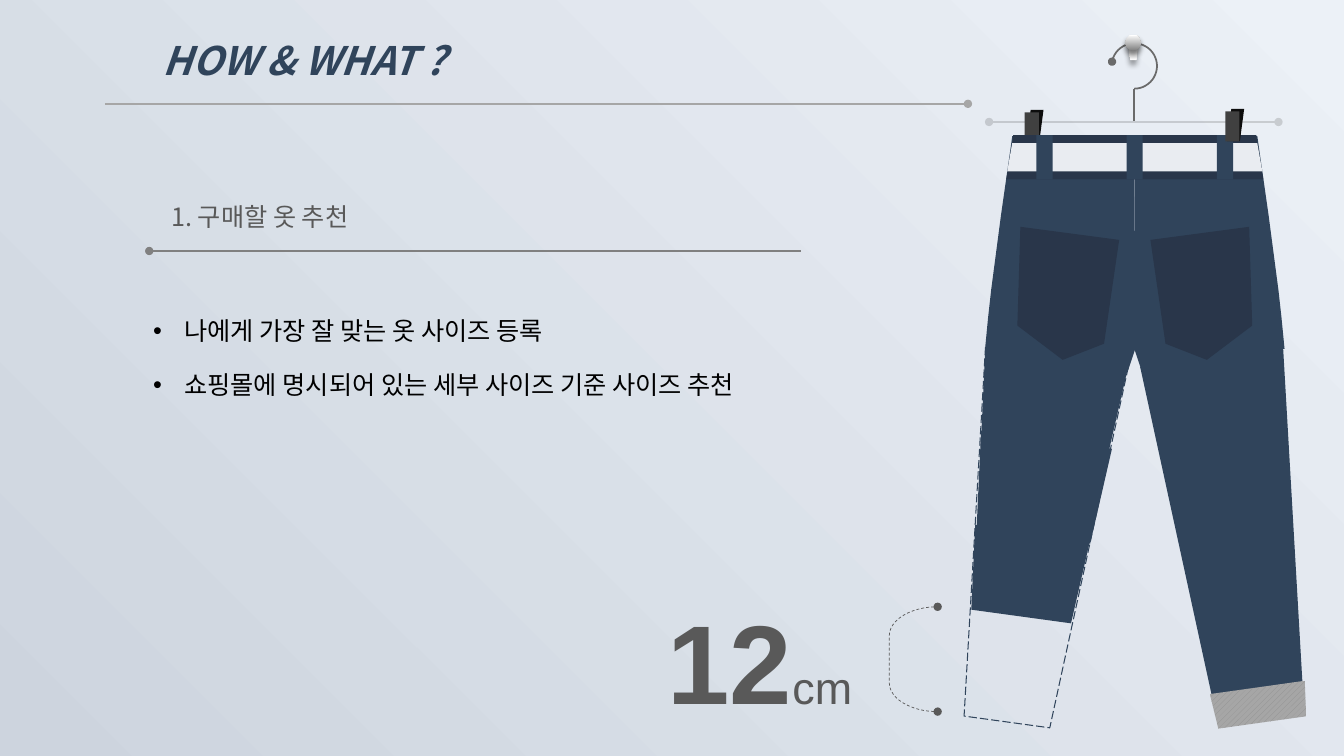
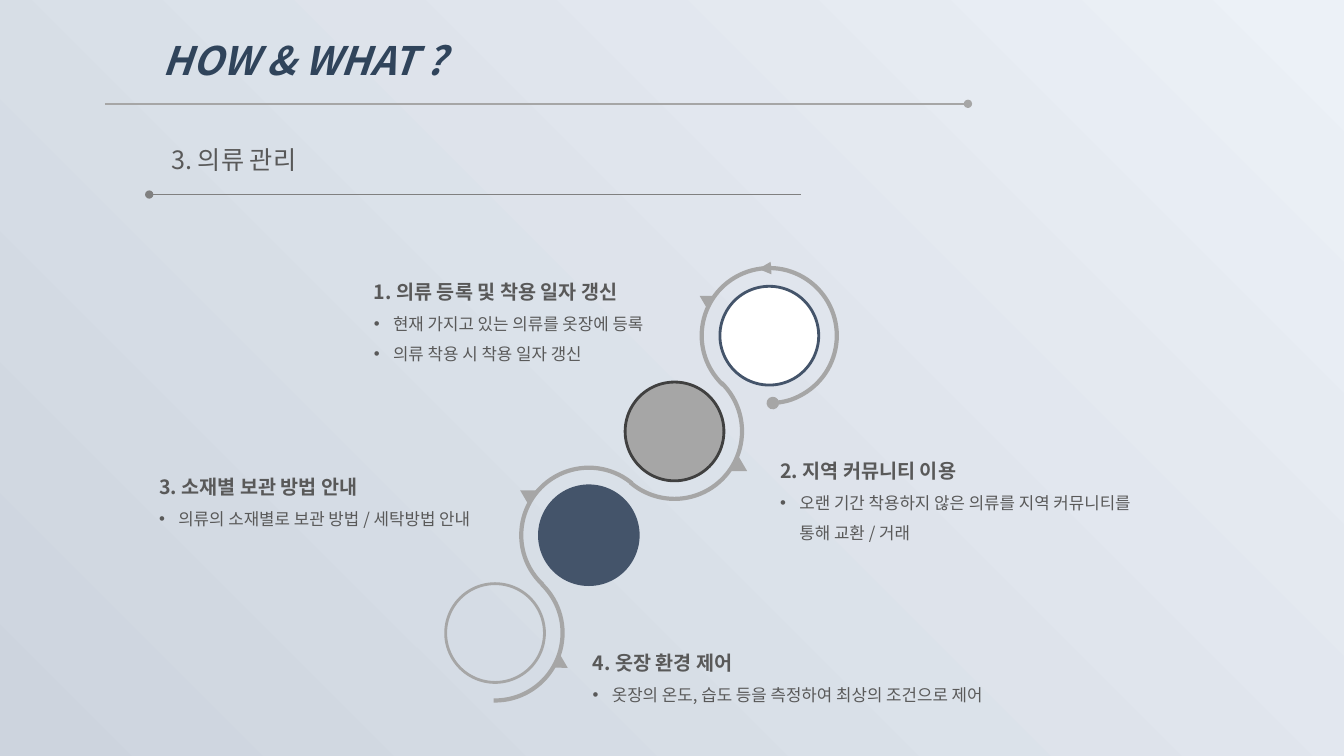
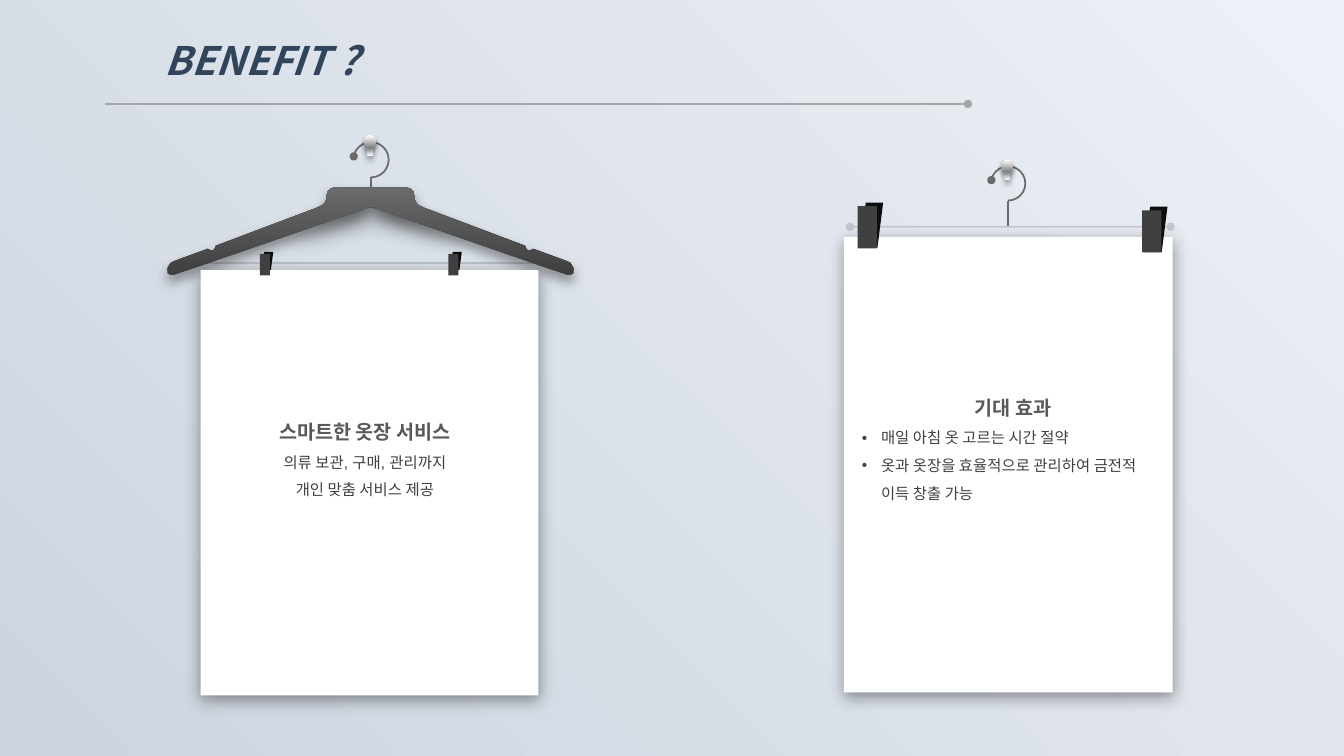
from dataclasses import dataclass

from lxml import etree
from pptx import Presentation
from pptx.dml.color import RGBColor
from pptx.enum.dml import MSO_LINE, MSO_PATTERN
from pptx.enum.shapes import MSO_CONNECTOR, MSO_SHAPE
from pptx.enum.text import MSO_ANCHOR, MSO_AUTO_SIZE, PP_ALIGN
from pptx.oxml.ns import qn
from pptx.util import Inches, Pt

RECT, OVAL, ARC = MSO_SHAPE.RECTANGLE, MSO_SHAPE.OVAL, MSO_SHAPE.ARC
TRAPEZOID, SLANTED = MSO_SHAPE.TRAPEZOID, MSO_SHAPE.PARALLELOGRAM
TRIANGLE, CORNER = MSO_SHAPE.ISOSCELES_TRIANGLE, MSO_SHAPE.RIGHT_TRIANGLE
BRACKET = MSO_SHAPE.RIGHT_BRACKET
DASH, LONG_DASH = MSO_LINE.DASH, MSO_LINE.LONG_DASH
CENTER, RIGHT = PP_ALIGN.CENTER, PP_ALIGN.RIGHT


@dataclass(frozen=True)
class Theme:
    font: str = "Noto Sans CJK KR"
    latin: str = "Arial"
    sky: tuple = ("ECF1F7", "CDD4DE")
    knob: tuple = ("808080", "FFFFFF")
    hanger: tuple = ("3F3F3F", "6A6A6A")
    denim: str = "30445B"
    dark_denim: str = "29364A"
    belt: str = "E9ECF1"
    slate: str = "44546A"
    white: str = "FFFFFF"
    black: str = "000000"
    clip_back: str = "0D0D0D"
    charcoal: str = "404040"
    text: str = "595959"
    wire: str = "6A6A6A"
    rule: str = "808080"
    silver: str = "A6A6A6"
    hatch: str = "909090"
    title_size: int = 28
    section_size: int = 18
    heading_size: int = 14
    body_size: int = 12
    card_size: int = 11
    number_size: int = 80
    unit_size: int = 32
    thin: float = 1.25
    medium: float = 2
    thick: float = 3


T = Theme()
KNOB_SHADOW, CARD_SHADOW = (4, 3, 90), (12, 3, 90)
HANGER_SHADOW, BRACE_SHADOW = (9, 5, 90), (15, 10, 80)

RECOMMEND = ["나에게 가장 잘 맞는 옷 사이즈 등록",
             "쇼핑몰에 명시되어 있는 세부 사이즈 기준 사이즈 추천"]

# (box, heading, bullets)
CARE_STEPS = [
    ((7.64, 4.39, 3.94, 1.06), "2. 지역 커뮤니티 이용",
     ["오랜 기간 착용하지 않은 의류를 지역 커뮤니티를 통해 교환 / 거래"]),
    ((5.78, 6.29, 4.86, 0.72), "4. 옷장 환경 제어",
     ["옷장의 온도, 습도 등을 측정하여 최상의 조건으로 제어"]),
    ((1.48, 4.55, 3.73, 0.76), "3. 소재별 보관 방법 안내",
     ["의류의 소재별로 보관 방법 / 세탁방법 안내"]),
    ((3.61, 2.61, 3.28, 1.06), "1. 의류 등록 및 착용 일자 갱신",
     ["현재 가지고 있는 의류를 옷장에 등록", "의류 착용 시 착용 일자 갱신"]),
]
# (centre x, centre y, fill, outline, arc angles)
CARE_CIRCLES = [
    (4.91, 6.28, None, T.silver, (188.38, 54.68)),
    (5.84, 5.31, T.slate, T.slate, (79.85, 185.78)),
    (6.69, 4.28, T.silver, T.charcoal, (188.38, 78.46)),
    (7.63, 3.33, T.white, T.slate, (79.85, 163.4)),
]
# (left, top, rotation)
CARE_MARKERS = [(5.14, 4.83, 300), (7.27, 4.57, 120),
                (5.49, 6.52, 120), (6.92, 2.9, 300)]

# Right halves; the left ones are their mirror images.
TROUSER_AXIS, HANGER_AXIS = 11.255, 3.675
SEAT = [(11.26, 1.35), (11.25, 3.46), (11.32, 3.67), (12.74, 3.46),
        (12.71, 3.15), (12.68, 2.88), (12.58, 2.12), (12.48, 1.42), (12.47, 1.35)]
POCKET = [(12.39, 2.25), (12.42, 3.23), (11.97, 3.57), (11.56, 3.41), (11.41, 2.38)]
WAISTBAND = [(12.46, 1.34), (12.47, 1.43), (12.53, 1.78)]
BELT = [(12.47, 1.42), (12.49, 1.53), (12.52, 1.7)]
HANGER = [(4.02, 1.86), (4.07, 1.87), (4.1, 1.9), (4.11, 1.95), (4.11, 1.98),
          (4.14, 2.03), (4.2, 2.06), (5.21, 2.44), (5.22, 2.47), (5.24, 2.49),
          (5.27, 2.48), (5.29, 2.47), (5.62, 2.59), (5.66, 2.61), (5.69, 2.66),
          (5.69, 2.71), (5.66, 2.73), (5.63, 2.73), (3.68, 2.05)]


def rgb(value):
    return RGBColor.from_string(value)


def add_xml(parent, tag, **attrs):
    return etree.SubElement(parent, qn(tag), {k: str(v) for k, v in attrs.items()})


def paint_gradient(fill, colors, angle):
    """Two-colour gradient; angle runs clockwise."""
    fill.gradient()
    fill.gradient_angle = (360 - angle) % 360
    for stop, color, position in zip(fill.gradient_stops, colors, (0, 1)):
        stop.color.rgb = rgb(color)
        stop.position = position


def add_shadow(effects, color, alpha, blur, dist, angle):
    shadow = add_xml(effects, "a:outerShdw", blurRad=Pt(blur), dist=Pt(dist),
                     dir=angle * 60000, algn="t", rotWithShape=0)
    add_xml(add_xml(shadow, "a:srgbClr", val=color), "a:alpha", val=alpha * 1000)


def style_line(line, color, width, head=None, tail=None, dash=None):
    line.color.rgb = rgb(color)
    line.width = Pt(width)
    if dash:
        line.dash_style = dash
    ln = line._get_or_add_ln()
    for tag, end in (("a:headEnd", head), ("a:tailEnd", tail)):
        if end:
            add_xml(ln, tag, type=end)


def finish(sp, fill=None, line=None, shadow=None):
    """fill is a colour or a gradient pair, line a dict for style_line."""
    sp.shadow.inherit = False
    if fill is None:
        sp.fill.background()
    elif isinstance(fill, tuple):
        paint_gradient(sp.fill, fill, 270)
    else:
        sp.fill.solid()
        sp.fill.fore_color.rgb = rgb(fill)
    if line:
        style_line(sp.line, **line)
    else:
        sp.line.fill.background()
    if shadow:
        effects = sp._element.spPr.find(qn("a:effectLst"))
        add_shadow(effects, T.black, 40, *shadow)
    return sp


def add_shape(s, kind, box, fill=None, line=None, shadow=None, rot=0, flip="", adj=()):
    sp = s.shapes.add_shape(kind, *map(Inches, box))
    sp.rotation = rot
    for axis in flip:
        sp._element.spPr.xfrm.set("flip" + axis, "1")
    for i, value in enumerate(adj):
        sp.adjustments[i] = value
    return finish(sp, fill, line, shadow)


def add_outline(s, points, fill, shadow=None):
    pts = [(Inches(x), Inches(y)) for x, y in points]
    builder = s.shapes.build_freeform(*pts[0])
    builder.add_line_segments(pts[1:], close=True)
    return finish(builder.convert_to_shape(), fill, shadow=shadow)


def mirror(points, axis):
    return [(2 * axis - x, y) for x, y in reversed(points)]


def add_line(s, x1, y1, x2, y2, color, alpha=None, **ends):
    c = s.shapes.add_connector(MSO_CONNECTOR.STRAIGHT, *map(Inches, (x1, y1, x2, y2)))
    style_line(c.line, color, T.thin, **ends)
    if alpha:
        clr = c._element.spPr.find(".//" + qn("a:srgbClr"))
        add_xml(clr, "a:alpha", val=alpha * 1000)
    add_xml(c._element.spPr, "a:effectLst")


def format_run(r, size, color=T.text, bold=False, italic=False, latin=T.font):
    f = r.font
    f.size, f.bold, f.italic, f.name = Pt(size), bold, italic, latin
    f.color.rgb = rgb(color)
    add_xml(r._r.get_or_add_rPr(), "a:ea", typeface=T.font)


def add_text(s, box, paragraphs, grow=True, wrap=True, spacing=None, gap=0):
    """paragraphs: (text, run format, alignment, bullet indent)."""
    tf = s.shapes.add_textbox(*map(Inches, box)).text_frame
    tf.word_wrap = wrap
    if grow:
        tf.auto_size = MSO_AUTO_SIZE.SHAPE_TO_FIT_TEXT
    else:
        tf.vertical_anchor = MSO_ANCHOR.MIDDLE
    for i, (text, look, align, indent) in enumerate(paragraphs):
        p = tf.add_paragraph() if i else tf.paragraphs[0]
        p.text = text
        format_run(p.runs[0], **look)
        if align:
            p.alignment = align
        if spacing:
            p.line_spacing = spacing
        if i and gap:
            p.space_before = Pt(gap)
        if indent:
            pPr = p._p.get_or_add_pPr()
            pPr.set("marL", str(Inches(indent)))
            pPr.set("indent", str(-Inches(indent)))
            add_xml(pPr, "a:buFont", typeface=T.latin)
            add_xml(pPr, "a:buChar", char="•")
    return tf


def add_header(s, title, left, width):
    look = dict(size=T.title_size, color=T.denim, bold=True, italic=True)
    tf = add_text(s, (left, 0.31, width, 0.57), [(title, look, CENTER, 0)])
    rPr = tf.paragraphs[0].runs[0].font._element
    effects = etree.Element(qn("a:effectLst"))
    add_shadow(effects, T.white, 100, 0, 2, 45)
    rPr.find(qn("a:solidFill")).addnext(effects)
    add_line(s, 1.04, 1.03, 9.6, 1.03, T.silver, tail="oval")


def add_section(s, text, top):
    add_line(s, 1.48, top + 0.55, 7.94, top + 0.55, T.rule, head="oval")
    add_text(s, (1.6, top, 5.95, 0.41),
             [(text, dict(size=T.section_size), None, 0)], grow=False)


def add_hook(s, cx, top, size, stem_end):
    """Wire hook with its stem, hung on a wall knob."""
    add_shape(s, ARC, (cx - size / 2, top, size, size), adj=(114.57, 54.14),
              line=dict(color=T.wire, width=T.thin, head="oval"))
    add_line(s, cx, top + size, cx, stem_end, T.wire)
    knob, knob_top = 0.35 * size, top - 0.19 * size
    for kind, w, h, drop, flip in ((TRAPEZOID, 0.25 * size, 0.52 * size, 0.02, "V"),
                                   (OVAL, knob, knob, 0, "")):
        add_shape(s, kind, (cx - 0.01 - w / 2, knob_top + drop, w, h),
                  T.knob, shadow=KNOB_SHADOW, flip=flip)


def add_clip_back(s, x, y, w, h):
    add_shape(s, SLANTED, (x, y, w, h), T.clip_back)


def add_clip_front(s, x, y, w, h):
    add_shape(s, RECT, (x - 0.1 * w, y + 0.08 * h, 0.83 * w, 0.93 * h), T.charcoal)


def add_clip(s, *box):
    add_clip_back(s, *box)
    add_clip_front(s, *box)


def add_bar(s, x1, x2, y, **ends):
    add_line(s, x1, y, x2, y, T.charcoal, alpha=20, **ends)


def add_trousers(s):
    def left_leg(box, adj, **look):
        add_shape(s, TRAPEZOID, box, rot=7.8, flip="HV", adj=(adj,), **look)

    left_leg((9.7, 3.54, 1.43, 0.98), 0.09, fill=T.denim)
    left_leg((9.52, 3.53, 1.43, 3.65), 0.2,
             line=dict(color=T.denim, width=0.75, dash=LONG_DASH))
    add_outline(s, SEAT, T.denim)
    add_shape(s, TRAPEZOID, (11.55, 3.53, 1.43, 3.64), T.denim, rot=352.2,
              flip="V", adj=(0.2,))
    add_outline(s, mirror(SEAT, TROUSER_AXIS), T.denim)
    add_hook(s, 11.25, 0.43, 0.45, 1.2)
    add_bar(s, 9.81, 12.68, 1.21, head="oval", tail="oval")
    add_clip(s, 10.18, 1.09, 0.17, 0.32)
    for half, color in ((WAISTBAND, T.dark_denim), (BELT, T.belt)):
        add_outline(s, half + mirror(half, TROUSER_AXIS), color)
    for pocket in (POCKET, mirror(POCKET, TROUSER_AXIS)):
        add_outline(s, pocket, T.dark_denim)
    for i in range(3):
        add_shape(s, RECT, (10.28 + 0.895 * i, 1.34, 0.16, 0.44), T.denim)
    add_clip(s, 12.17, 1.08, 0.17, 0.32)
    cuff = add_shape(s, TRAPEZOID, (12.02, 6.82, 0.95, 0.35), rot=352,
                     flip="HV", adj=(0.1,))
    cuff.fill.patterned()
    cuff.fill.pattern = MSO_PATTERN.WIDE_UPWARD_DIAGONAL
    cuff.fill.fore_color.rgb = rgb(T.hatch)
    cuff.fill.back_color.rgb = rgb(T.silver)
    left_leg((9.66, 4.36, 1.31, 0.96), 0.09, fill=T.denim)
    left_leg((9.61, 5.28, 1.15, 0.84), 0.09, fill=T.denim)


def build_recommend(s):
    add_header(s, "HOW & WHAT ?", 1.19, 3.65)
    add_section(s, "1. 구매할 옷 추천", 1.94)
    look = dict(size=T.section_size, color=T.black)
    add_text(s, (1.42, 3.08, 6.7, 1.01),
             [(text, look, None, 0.31) for text in RECOMMEND], wrap=False, gap=17)
    add_trousers(s)
    number = dict(size=T.number_size, bold=True, latin=T.latin)
    tf = add_text(s, (6.46, 5.63, 2.09, 1.82), [("12", number, RIGHT, 0)], grow=False)
    r = tf.paragraphs[0].add_run()
    r.text = "cm"
    format_run(r, T.unit_size, latin=T.latin)
    add_shape(s, BRACKET, (8.82, 6.02, 0.48, 1.04), flip="H", adj=(0.6,),
              line=dict(color=T.text, width=0.5, head="oval", tail="oval", dash=DASH))


def build_care(s):
    def ring(cx, cy, angles, **ends):
        add_shape(s, ARC, (cx - 0.67, cy - 0.67, 1.34, 1.34), adj=angles,
                  line=dict(color=T.silver, width=T.thick, **ends))

    add_header(s, "HOW & WHAT ?", 1.19, 3.65)
    add_section(s, "3. 의류 관리", 1.38)
    for cx, cy, fill, outline, angles in CARE_CIRCLES:
        ring(cx, cy, angles)
        add_shape(s, OVAL, (cx - 0.49, cy - 0.49, 0.98, 0.98), fill,
                  dict(color=outline, width=T.medium))
    for box, heading, bullets in CARE_STEPS:
        paragraphs = [(heading, dict(size=T.heading_size, bold=True), None, 0)]
        paragraphs += [(b, dict(size=T.body_size), None, 0.19) for b in bullets]
        add_text(s, box, paragraphs, spacing=1.5)
    for x, y, rot in CARE_MARKERS:
        add_shape(s, TRIANGLE, (x, y, 0.16, 0.14), T.silver, rot=rot)
    ring(*CARE_CIRCLES[-1][:2], (156.49, 52.17), head="triangle", tail="oval")


def build_benefit(s):
    heading = dict(size=T.heading_size, bold=True)
    body = dict(size=T.card_size, color=T.charcoal, latin=T.latin)
    add_header(s, "BENEFIT ?", 1.22, 2.75)

    small_clips = [(x, 2.5, 0.12, 0.23) for x in (2.59, 4.46)]
    for box in small_clips:
        add_clip_back(s, *box)
    for x, rot, flip in ((3.67, 30, "V"), (2.8, 330, "HV")):
        add_shape(s, CORNER, (x, 2.06, 0.87, 0.23), T.wire, shadow=BRACE_SHADOW,
                  rot=rot, flip=flip)
    add_hook(s, 3.68, 1.41, 0.35, 1.86)
    add_bar(s, 2.02, 5.43, 2.61)
    add_outline(s, HANGER + mirror(HANGER[:-1], HANGER_AXIS), T.hanger,
                HANGER_SHADOW)
    add_shape(s, RECT, (1.99, 2.68, 3.35, 4.22), T.white, shadow=CARD_SHADOW)
    for box in small_clips:
        add_clip_front(s, *box)
    add_text(s, (2.14, 4, 2.96, 1.01),
             [("스마트한 옷장 서비스", heading, CENTER, 0),
              ("의류 보관, 구매, 관리까지", body, CENTER, 0),
              ("개인 맞춤 서비스 제공", body, CENTER, 0)], spacing=1.5)

    add_hook(s, 10, 1.65, 0.34, 2.24)
    add_bar(s, 8.43, 11.61, 2.25, head="oval", tail="oval")
    add_shape(s, RECT, (8.37, 2.35, 3.26, 4.52), T.white, shadow=CARD_SHADOW)
    for x, y in ((8.53, 2.01), (11.35, 2.05)):
        add_clip(s, x, y, 0.23, 0.45)
    add_text(s, (8.45, 3.76, 3.2, 1.29),
             [("기대 효과", heading, CENTER, 0),
              ("매일 아침 옷 고르는 시간 절약", body, None, 0.19),
              ("옷과 옷장을 효율적으로 관리하여 금전적 이득 창출 가능", body, None, 0.19)],
             spacing=1.5)


def main():
    prs = Presentation()
    prs.slide_width, prs.slide_height = Inches(13.33), Inches(7.5)
    paint_gradient(prs.slide_master.background.fill, T.sky, 135)
    for build in (build_recommend, build_care, build_benefit):
        build(prs.slides.add_slide(prs.slide_layouts[6]))
    prs.save("out.pptx")


if __name__ == "__main__":
    main()
